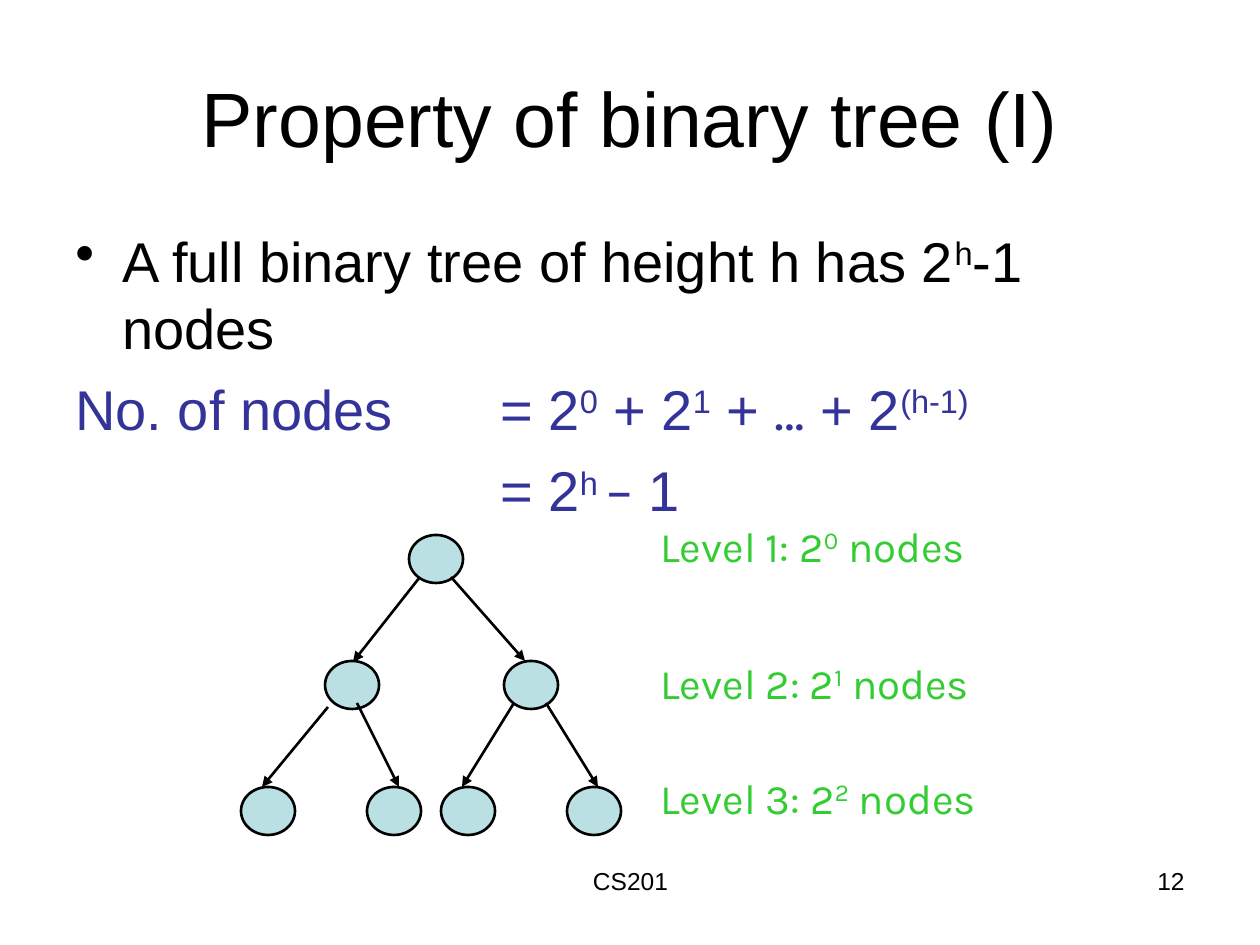
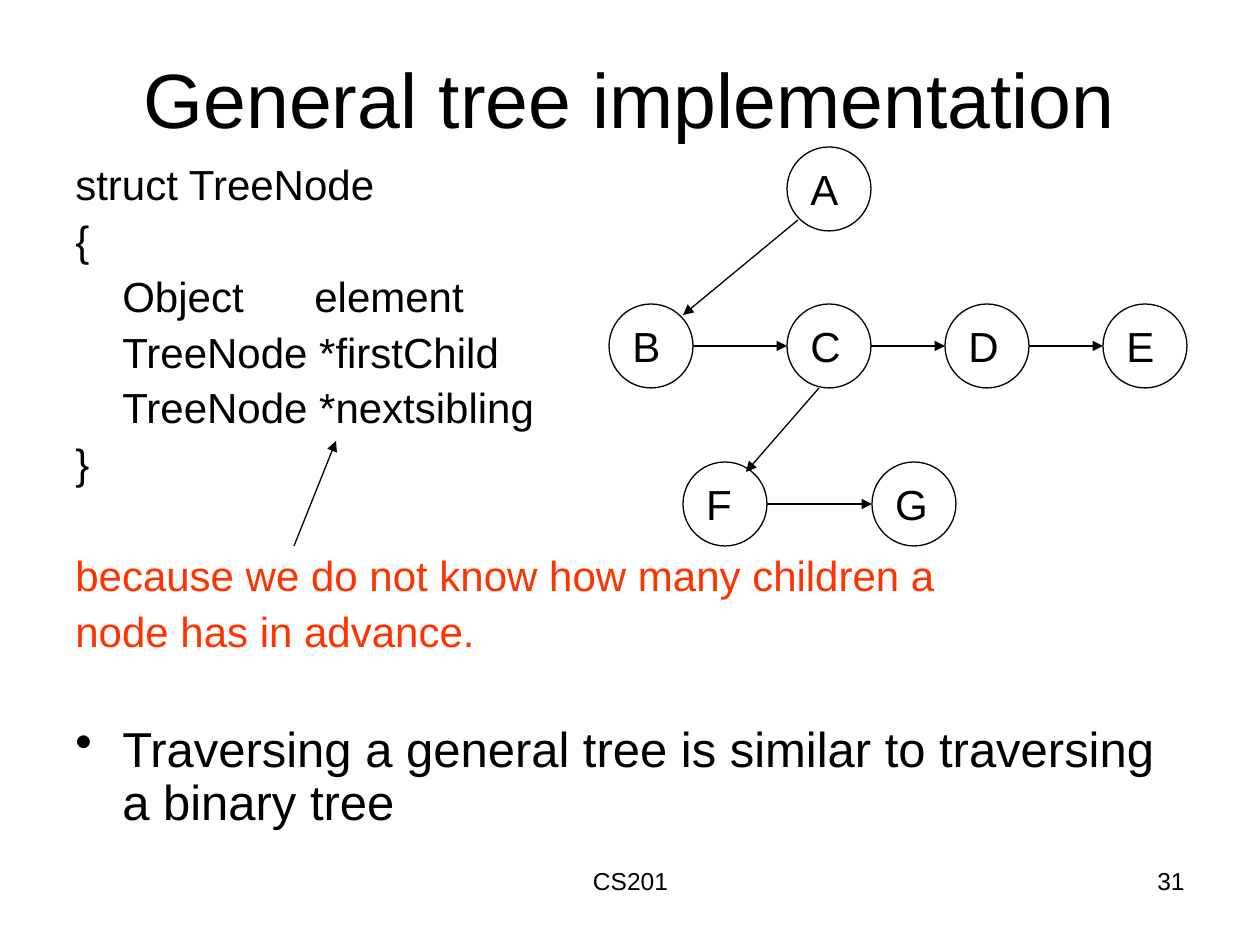
from dataclasses import dataclass

from lxml.etree import SubElement
from pptx import Presentation
from pptx.dml.color import RGBColor
from pptx.enum.shapes import MSO_CONNECTOR, MSO_SHAPE
from pptx.enum.text import MSO_ANCHOR, PP_ALIGN
from pptx.oxml.ns import qn
from pptx.util import Pt


@dataclass(frozen=True)
class Theme:
    """Colours, fonts and type sizes shared by the slides."""
    black: str = "000000"
    formula: str = "333399"
    level: str = "33CC33"
    remark: str = "FF3300"
    node: str = "BBE0E3"
    main_font: str = "Arial"
    label_font: str = "Karla"
    title: int = 44
    body: int = 32
    point: int = 28
    code: int = 24
    footer: int = 14
    indent: int = 47


@dataclass(frozen=True)
class Box:
    """A region of the slide in px."""
    left: int
    top: int
    width: int
    height: int

    def inner(self, left, top, width, height):
        """Return a box placed relative to this one."""
        return Box(self.left + left, self.top + top, width, height)

    def emu(self):
        """Return the four lengths in EMU."""
        return [px(n) for n in (self.left, self.top, self.width, self.height)]


THEME = Theme()
PAGE = Box(0, 0, 1260, 945)


def px(length):
    """Turn px into EMU at 126 px to the inch."""
    return round(length * 914400 / 126)


def add_text_box(page, box, anchor=MSO_ANCHOR.TOP, wrap=True):
    """Add an empty text box and return its text frame."""
    frame = page.shapes.add_textbox(*box.emu()).text_frame
    frame.word_wrap = wrap
    frame.vertical_anchor = anchor
    return frame


def add_span(para, text, size, color=THEME.black, font=THEME.main_font, raised=False):
    """Add one run, raised when it is an exponent."""
    span = para.add_run()
    span.text = text
    span.font.size = Pt(size)
    span.font.name = font
    span.font.color.rgb = RGBColor.from_string(color)
    if raised:
        span._r.get_or_add_rPr().set("baseline", "30000")


def add_para(frame, before=0, line=None, bullet=False, tabs=()):
    """Add a paragraph with its bullet, tab stops and spacing."""
    first = frame.paragraphs[0]
    para = first if not first.runs else frame.add_paragraph()
    props = para._p.get_or_add_pPr()
    if bullet:
        props.set("marL", str(px(THEME.indent)))
        props.set("indent", str(-px(THEME.indent)))
        SubElement(props, qn("a:buChar"), char="•")
    if tabs:
        stops = SubElement(props, qn("a:tabLst"))
        for stop in tabs:
            SubElement(stops, qn("a:tab"), pos=str(px(stop)), algn="l")
    if before:
        para.space_before = Pt(before)
    if line:
        para.line_spacing = line
    return para


def add_arrow(page, box, start, end, width):
    """Draw an arrow between two points relative to the box."""
    points = [px(n) for x, y in (start, end) for n in (box.left + x, box.top + y)]
    arrow = page.shapes.add_connector(MSO_CONNECTOR.STRAIGHT, *points)
    arrow.line.width = Pt(width)
    arrow.line.color.rgb = RGBColor.from_string(THEME.black)
    SubElement(arrow.line._get_or_add_ln(), qn("a:tailEnd"), type="triangle")
    SubElement(arrow._element.spPr, qn("a:effectLst"))


def add_node(page, box, width, fill=None):
    """Draw one oval tree node."""
    node = page.shapes.add_shape(MSO_SHAPE.OVAL, *box.emu())
    node.shadow.inherit = False
    node.line.width = Pt(width)
    node.line.color.rgb = RGBColor.from_string(THEME.black)
    if fill:
        node.fill.solid()
        node.fill.fore_color.rgb = RGBColor.from_string(fill)
    else:
        node.fill.background()
    return node


def add_page(deck, title, title_box, number):
    """Add a slide with its title and footer."""
    page = deck.slides.add_slide(deck.slide_layouts[6])
    parts = (
        (title, title_box, THEME.title, PP_ALIGN.CENTER, MSO_ANCHOR.MIDDLE),
        ("CS201", Box(431, 860, 399, 66), THEME.footer, PP_ALIGN.CENTER, MSO_ANCHOR.TOP),
        (number, Box(903, 860, 294, 66), THEME.footer, PP_ALIGN.RIGHT, MSO_ANCHOR.TOP),
    )
    for text, box, size, align, anchor in parts:
        para = add_para(add_text_box(page, box, anchor))
        para.alignment = align
        add_span(para, text, size)
    return page


def add_formula(page, box):
    """Write the property and the sum that proves it."""
    frame = add_text_box(page, box)
    para = add_para(frame, bullet=True)
    add_span(para, "A full binary tree of height h has 2", THEME.body)
    add_span(para, "h", THEME.body, raised=True)
    add_span(para, "-1 nodes", THEME.body)
    plain, raised = {}, {"raised": True}
    other = {"font": THEME.label_font}
    lines = (
        (("No. of nodes\t= 2", plain), ("0", raised), (" + 2", plain), ("1", raised),
         (" + ", plain), ("…", other), (" + 2", plain), ("(h-1)", raised)),
        (("\t= 2", plain), ("h ", raised), ("–", other), (" 1", plain)),
    )
    for line in lines:
        para = add_para(frame, before=8, tabs=[425])
        for text, style in line:
            add_span(para, text, THEME.body, THEME.formula, **style)


def add_full_tree(page, box):
    """Draw the full binary tree of height three."""
    rows = ((168,), (84, 263), (0, 126, 200, 326))
    for depth, lefts in enumerate(rows):
        for left in lefts:
            add_node(page, box.inner(left, depth * 126, 54, 48), 1.5, THEME.node)
    edges = (
        ((179, 42), (112, 127)), ((210, 42), (284, 126)),
        ((87, 172), (21, 252)), ((116, 168), (158, 252)),
        ((273, 168), (221, 252)), ((305, 168), (357, 252)),
    )
    for start, end in edges:
        add_arrow(page, box, start, end, 1.5)


def add_level_labels(page, box):
    """Write the node count of each level."""
    for exponent, top in enumerate((0, 137, 252)):
        frame = add_text_box(page, box.inner(0, top, box.width, 63), wrap=False)
        para = add_para(frame)
        for text, raised in ((f"Level {exponent + 1}: 2", False),
                             (str(exponent), True), (" nodes", False)):
            add_span(para, text, THEME.code, THEME.level, THEME.label_font, raised)


def add_struct(page, box):
    """Write the node structure, the remark on it and the closing point."""
    frame = add_text_box(page, box)
    lines = (
        ("struct TreeNode", 0, THEME.black),
        ("{", 6, THEME.black),
        ("\tObject\telement", 6, THEME.black),
        ("\tTreeNode *firstChild", 6, THEME.black),
        ("\tTreeNode *nextsibling", 6, THEME.black),
        ("}", 6, THEME.black),
        ("because we do not know how many children a", 38, THEME.remark),
        ("node has in advance.", 6, THEME.remark),
    )
    for text, before, color in lines:
        para = add_para(frame, before, 0.9, tabs=[THEME.indent, 239])
        add_span(para, text, THEME.code, color)
    para = add_para(frame, 39, 0.9, bullet=True)
    add_span(para, "Traversing a general tree is similar to traversing a binary tree",
             THEME.point)
    add_arrow(page, box, (231, 388), (273, 283), 0.75)


def add_sibling_tree(page, box):
    """Draw the tree linked by first child and next sibling."""
    size = 84
    nodes = {"A": (178, 0), "B": (0, 157), "C": (178, 157), "D": (336, 157),
             "E": (494, 157), "F": (74, 315), "G": (263, 315)}
    for name, (left, top) in nodes.items():
        frame = add_node(page, box.inner(left, top, size, size), 0.75).text_frame
        frame.vertical_anchor = MSO_ANCHOR.MIDDLE
        frame.margin_left = px(11)
        frame.margin_right = frame.margin_top = frame.margin_bottom = 0
        para = add_para(frame)
        para.alignment = PP_ALIGN.LEFT
        add_span(para, name, THEME.code)
    for sibling, following in ("BC", "CD", "DE", "FG"):
        left, top = nodes[sibling]
        middle = top + size // 2
        add_arrow(page, box, (left + size, middle), (nodes[following][0], middle), 0.75)
    for start, end in (((189, 73), (74, 168)), ((210, 241), (137, 325))):
        add_arrow(page, box, start, end, 0.75)


def add_property_page(deck):
    """Build the slide on the size of a full binary tree."""
    page = add_page(deck, "Property of binary tree (I)", Box(63, 38, 1134, 158), "12")
    add_formula(page, Box(63, 220, 1134, 624))
    add_full_tree(page, Box(241, 535, 380, 300))
    add_level_labels(page, Box(648, 514, 354, 315))


def add_implementation_page(deck):
    """Build the slide on implementing a general tree."""
    page = add_page(deck, "General tree implementation", Box(63, 32, 1134, 132), "31")
    add_struct(page, Box(63, 158, 1134, 687))
    add_sibling_tree(page, Box(609, 147, 578, 399))


def main():
    """Build and save the deck."""
    deck = Presentation()
    deck.slide_width, deck.slide_height = px(PAGE.width), px(PAGE.height)
    add_property_page(deck)
    add_implementation_page(deck)
    deck.save("out.pptx")


if __name__ == "__main__":
    main()
